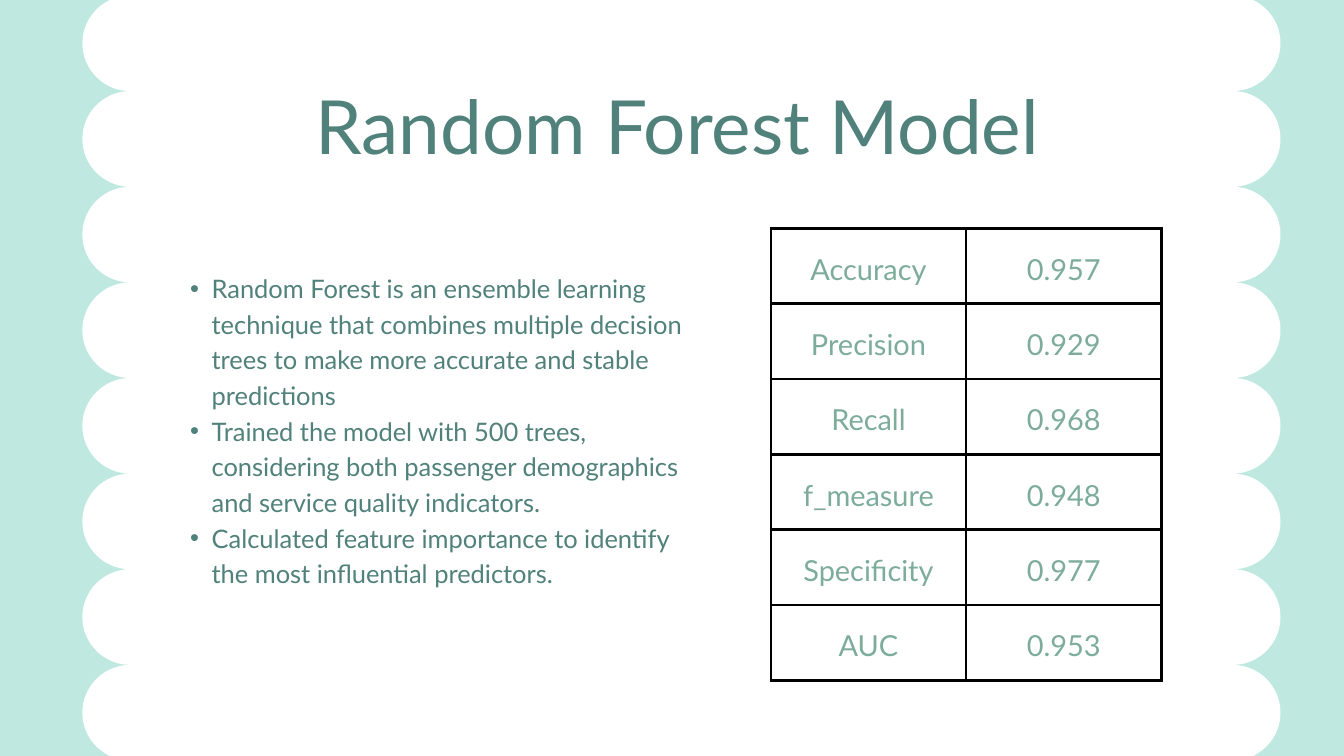
from lxml import etree
from pptx import Presentation
from pptx.dml.color import RGBColor
from pptx.enum.text import MSO_ANCHOR, MSO_AUTO_SIZE, PP_ALIGN
from pptx.oxml.ns import qn
from pptx.util import Inches, Pt

MINT = RGBColor(0xBF, 0xE9, 0xE0)
WHITE = RGBColor(0xFF, 0xFF, 0xFF)
TEAL = RGBColor(0x51, 0x81, 0x7B)
SAGE = RGBColor(0x7D, 0xAC, 0x9B)
BLACK = RGBColor(0x00, 0x00, 0x00)

CENTER, LEFT = PP_ALIGN.CENTER, PP_ALIGN.LEFT
MIDDLE = MSO_ANCHOR.MIDDLE
GROW = MSO_AUTO_SIZE.SHAPE_TO_FIT_TEXT

WIDTH, HEIGHT = Inches(20), Inches(11.25)
FONT_NAME = "Lato"
SCALLOPS = 16
ARC_PULL = 0.55
MARGINS = ("margin_left", "margin_top", "margin_right", "margin_bottom")

TITLE = "Random Forest Model"
POINTS = [
    "Random Forest is an ensemble learning technique that combines multiple "
    "decision trees to make more accurate and stable predictions",
    "Trained the model with 500 trees, considering both passenger "
    "demographics and service quality indicators.",
    "Calculated feature importance to identify the most influential predictors.",
]
METRICS = [
    ("Accuracy", "0.957"),
    ("Precision", "0.929"),
    ("Recall", "0.968"),
    ("f_measure", "0.948"),
    ("Specificity", "0.977"),
    ("AUC", "0.953"),
]

TITLE_FORMAT = {"size": 80, "spacing": 112, "color": TEAL, "alignment": CENTER}
POINT_FORMAT = {"size": 27.3, "spacing": 38.2, "color": TEAL, "alignment": LEFT}
METRIC_FORMAT = {"size": 31, "spacing": 43.4, "color": SAGE, "alignment": CENTER}


def area(left, top, width, height):
    """Turn percentages of the slide's size into a box in EMU."""
    sides = (WIDTH, HEIGHT, WIDTH, HEIGHT)
    return [round(side * share / 100)
            for side, share in zip(sides, (left, top, width, height))]


def set_attributes(target, values):
    """Set every named value on the target."""
    for name, value in values.items():
        setattr(target, name, value)


def write_paragraph(paragraph, text, style):
    """Fill a paragraph with one formatted run."""
    run = paragraph.add_run()
    run.text = text
    set_attributes(paragraph, {"alignment": style["alignment"],
                               "line_spacing": Pt(style["spacing"])})
    set_attributes(run.font, {"name": FONT_NAME, "size": Pt(style["size"])})
    run.font.color.rgb = style["color"]


def add_bullet(paragraph, indent):
    """Give a second-level paragraph a hanging bullet."""
    paragraph.level = 1
    properties = paragraph._p.get_or_add_pPr()
    properties.set("marL", str(2 * indent))
    properties.set("indent", str(-indent))
    etree.SubElement(properties, qn("a:buFont"), typeface="Arial")
    etree.SubElement(properties, qn("a:buChar"), char="•")


def add_text(slide, box, texts, style, bullet_indent=None):
    """Add a text box with one paragraph for each text."""
    frame = slide.shapes.add_textbox(*box).text_frame
    set_attributes(frame, dict.fromkeys(MARGINS, 0))
    set_attributes(frame, {"word_wrap": True, "auto_size": GROW})
    for index, text in enumerate(texts):
        paragraph = frame.add_paragraph() if index else frame.paragraphs[0]
        write_paragraph(paragraph, text, style)
        if bullet_indent:
            add_bullet(paragraph, bullet_indent)


def round_segment(segment, start, end, rising):
    """Turn a straight segment into a quarter circle."""
    pull_x = ARC_PULL * (end[0] - start[0])
    pull_y = ARC_PULL * (end[1] - start[1])
    if rising:
        controls = [(start[0], start[1] + pull_y), (end[0] - pull_x, end[1])]
    else:
        controls = [(start[0] + pull_x, start[1]), (end[0], end[1] - pull_y)]
    segment.tag = qn("a:cubicBezTo")
    for index, (x, y) in enumerate(controls):
        point = etree.Element(qn("a:pt"), x=str(round(x)), y=str(round(y)))
        segment.insert(index, point)


def add_scalloped_panel(slide, center_x, center_y, length, depth):
    """Add a white panel with scallops along its two long sides."""
    radius = length / SCALLOPS / 2
    steps = 2 * SCALLOPS
    edge = [(step * radius - length / 2,
             (0 if step % 2 else radius) - depth / 2)
            for step in range(steps + 1)]
    outline = edge + [(-x, -y) for x, y in edge]
    points = [(center_x + x, center_y + y) for x, y in outline]
    builder = slide.shapes.build_freeform(*points[0])
    builder.add_line_segments(points[1:], close=True)
    panel = builder.convert_to_shape()
    corners = [(int(point.get("x")), int(point.get("y")))
               for point in panel._element.iter(qn("a:pt"))]
    segments = list(panel._element.iter(qn("a:lnTo")))
    for index, segment in enumerate(segments[:2 * steps + 1]):
        if index != steps:
            rising = index % (steps + 1) % 2 == 0
            round_segment(segment, corners[index], corners[index + 1], rising)
    panel.rotation = 90
    panel.shadow.inherit = False
    panel.fill.solid()
    panel.fill.fore_color.rgb = WHITE
    panel.line.fill.background()


def add_borders(cell, width):
    """Draw a solid line on all four sides of a cell."""
    properties = cell._tc.get_or_add_tcPr()
    for index, side in enumerate(("a:lnL", "a:lnR", "a:lnT", "a:lnB")):
        line = etree.Element(qn(side), w=str(width))
        fill = etree.SubElement(line, qn("a:solidFill"))
        etree.SubElement(fill, qn("a:srgbClr"), val=str(BLACK))
        properties.insert(index, line)


def add_metric_table(slide, box, rows):
    """Add the table of metric names and values."""
    table = slide.shapes.add_table(len(rows), len(rows[0]), *box).table
    set_attributes(table, {"first_row": False, "horz_banding": False})
    for row_index, row in enumerate(rows):
        for column_index, text in enumerate(row):
            cell = table.cell(row_index, column_index)
            set_attributes(cell, dict.fromkeys(MARGINS, Inches(0.21)))
            cell.vertical_anchor = MIDDLE
            cell.fill.background()
            add_borders(cell, Pt(3))
            write_paragraph(cell.text_frame.paragraphs[0], text, METRIC_FORMAT)


def main():
    """Build the slide and save it."""
    presentation = Presentation()
    set_attributes(presentation, {"slide_width": WIDTH, "slide_height": HEIGHT})
    slide = presentation.slides.add_slide(presentation.slide_layouts[6])
    slide.background.fill.solid()
    slide.background.fill.fore_color.rgb = MINT
    add_scalloped_panel(slide, Inches(10.14), HEIGHT / 2,
                        Inches(22.77), Inches(17.83))
    add_metric_table(slide, area(57.35, 30.2, 29.07, 59.82), METRICS)
    add_text(slide, area(9.45, 8.53, 81.9, 13.33), [TITLE], TITLE_FORMAT)
    add_text(slide, area(12.55, 35.45, 40.2, 41.51), POINTS, POINT_FORMAT,
             Inches(0.32))
    presentation.save("out.pptx")


if __name__ == "__main__":
    main()
